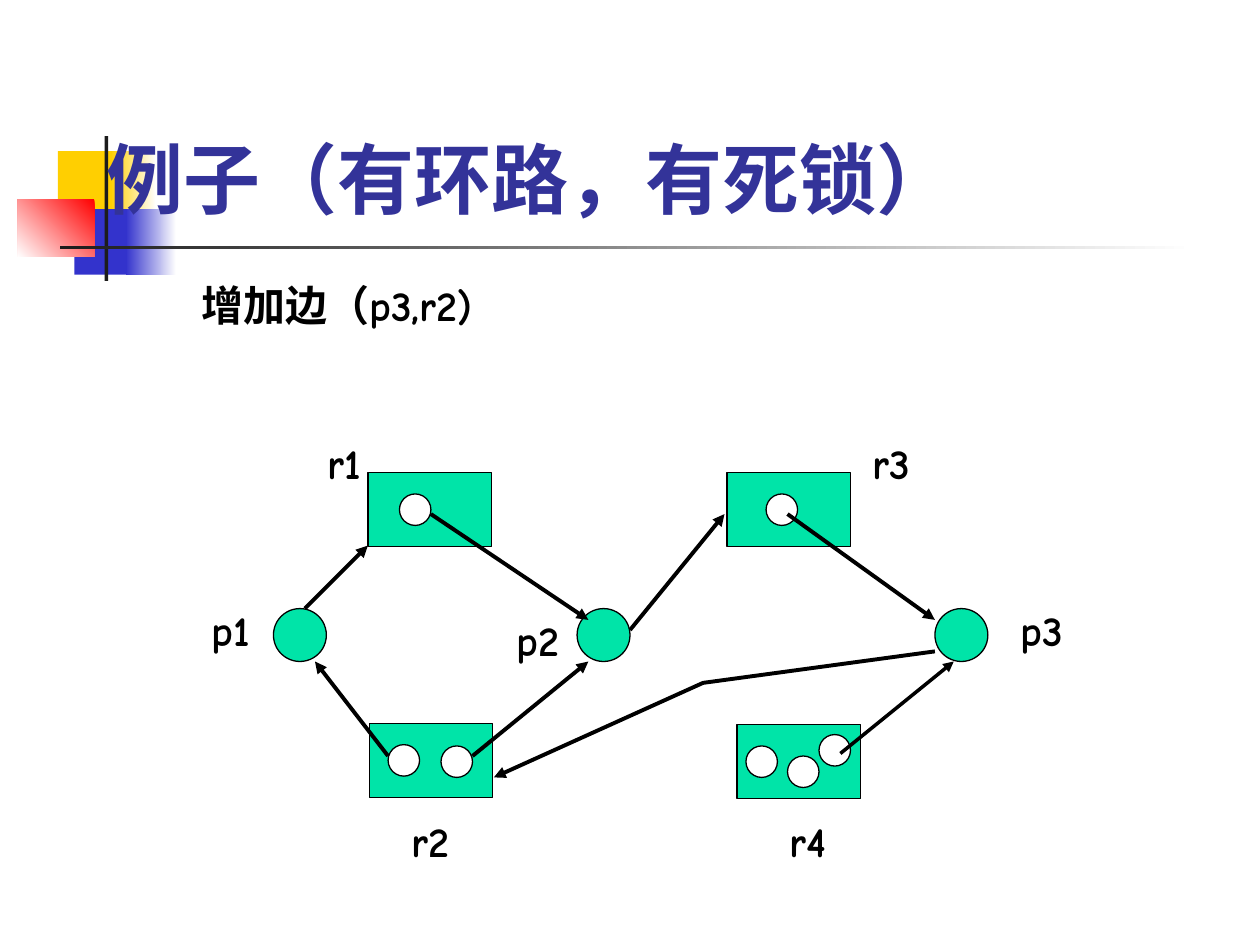
from pptx import Presentation
from pptx.dml.color import RGBColor
from pptx.enum import shapes, text
from pptx.oxml import ns
from pptx.util import Inches, Pt
from lxml import etree

HUE = {"gold": "FFCF01", "blue": "3333CC", "red": "FF0000", "dark": "1C1C1C",
       "white": "FFFFFF", "black": "000000", "green": "00E4A8", "title": "333399"}
RECT = shapes.MSO_SHAPE.RECTANGLE
OVAL = shapes.MSO_SHAPE.OVAL

deck = Presentation()
deck.slide_width, deck.slide_height = Inches(10), Inches(7.5)
slide = deck.slides.add_slide(deck.slide_layouts[6])
tree = slide.shapes


def block(kind, box, hue, edge=None):
    shape = tree.add_shape(kind, *map(Inches, box))
    shape.shadow.inherit = False
    if isinstance(hue, str):
        shape.fill.solid()
        shape.fill.fore_color.rgb = RGBColor.from_string(HUE[hue])
    else:
        start, end, angle = hue
        shape.fill.gradient()
        shape.fill.gradient_angle = angle
        for stop, name in zip(shape.fill.gradient_stops, (start, end)):
            stop.color.rgb = RGBColor.from_string(HUE[name])
    if edge:
        shape.line.color.rgb = RGBColor.from_string(HUE["black"])
        shape.line.width = Pt(edge)
    else:
        shape.line.fill.background()


def label(box, runs, size=24, hue="black", gap=15, anchor="TOP"):
    frame = tree.add_textbox(*map(Inches, box)).text_frame
    frame.word_wrap = True
    frame.vertical_anchor = text.MSO_ANCHOR[anchor]
    para = frame.paragraphs[0]
    para.space_before = Pt(gap)
    for words, font in runs:
        run = para.add_run()
        run.text = words
        run.font.name = font
        run.font.size = Pt(size)
        run.font.bold = True
        run.font.color.rgb = RGBColor.from_string(HUE[hue])


for box, hue in [
    ((0.46, 1.2, 0.48, 0.52), "gold"),
    ((0.88, 1.2, 0.36, 0.52), ("white", "gold", 180)),
    ((0.59, 1.66, 0.46, 0.52), "blue"),
    ((1, 1.66, 0.4, 0.52), ("white", "blue", 180)),
    ((0.14, 1.58, 0.61, 0.46), ("red", "white", 225)),
    ((0.83, 1.08, 0.03, 1.15), "dark"),
    ((0.48, 1.95, 9, 0.03), ("white", "dark", 180)),
]:
    block(RECT, box, hue)

label((0.75, 0.58, 8.5, 1.25), [("例子（有环路，有死锁）", "Karla")],
      44, "title", 0, "BOTTOM")

pen = tree.build_freeform(Inches(7.42), Inches(5.17))
pen.add_line_segments([(Inches(5.58), Inches(5.42)), (Inches(3.92), Inches(6.17))], close=False)
bend = pen.convert_to_shape()
bend.fill.background()
bend.shadow.inherit = False
arrows = [(bend, 2.25)]

for x, y, dots in [
    (2.92, 3.75, [(3.17, 3.92)]),
    (5.77, 3.75, [(6.08, 3.92)]),
    (2.93, 5.74, [(3.08, 5.91), (3.5, 5.92)]),
    (5.85, 5.75, [(5.92, 5.92), (6.25, 6), (6.5, 5.83)]),
]:
    block(RECT, (x, y, 0.98, 0.59), "green", 0.75)
    for left, top in dots:
        block(OVAL, (left, top, 0.25, 0.25), "white", 0.75)

for x in (2.17, 4.58, 7.42):
    block(OVAL, (x, 4.83, 0.42, 0.42), "green", 0.75)

for name, x, y, wide in [
    ("p1", 1.58, 4.75, 0.67), ("p2", 4, 4.83, 0.67), ("p3", 8, 4.75, 0.67),
    ("r1", 2.5, 3.42, 0.58), ("r3", 6.83, 3.42, 0.58),
    ("r2", 3.17, 6.42, 0.58), ("r4", 6.17, 6.42, 0.92),
]:
    label((x, y, wide, 0.5), [(name, "Comic Neue")])

label((1.5, 2.17, 5.83, 0.5), [("增加边", "Times New Roman"), ("（p3,r2)", "Comic Neue")])

for *ends, width in [
    (3.42, 4.08, 4.67, 4.92, 2.25),
    (3.75, 6, 4.67, 5.25, 2.25),
    (6.25, 4.08, 7.42, 4.92, 2.25),
    (3.08, 6, 2.5, 5.25, 2.25),
    (2.42, 4.83, 2.92, 4.33, 2.25),
    (5, 5, 5.75, 4.08, 2.25),
    (6.67, 5.98, 7.57, 5.25, 2),
]:
    edge = tree.add_connector(shapes.MSO_CONNECTOR.STRAIGHT, *map(Inches, ends))
    arrows.append((edge, width))

for edge, width in arrows:
    edge.line.color.rgb = RGBColor.from_string(HUE["black"])
    edge.line.width = Pt(width)
    props = edge.element.spPr
    etree.SubElement(props.find(ns.qn("a:ln")), ns.qn("a:tailEnd"), type="triangle")
    if props.find(ns.qn("a:effectLst")) is None:
        etree.SubElement(props, ns.qn("a:effectLst"))

deck.save("out.pptx")
